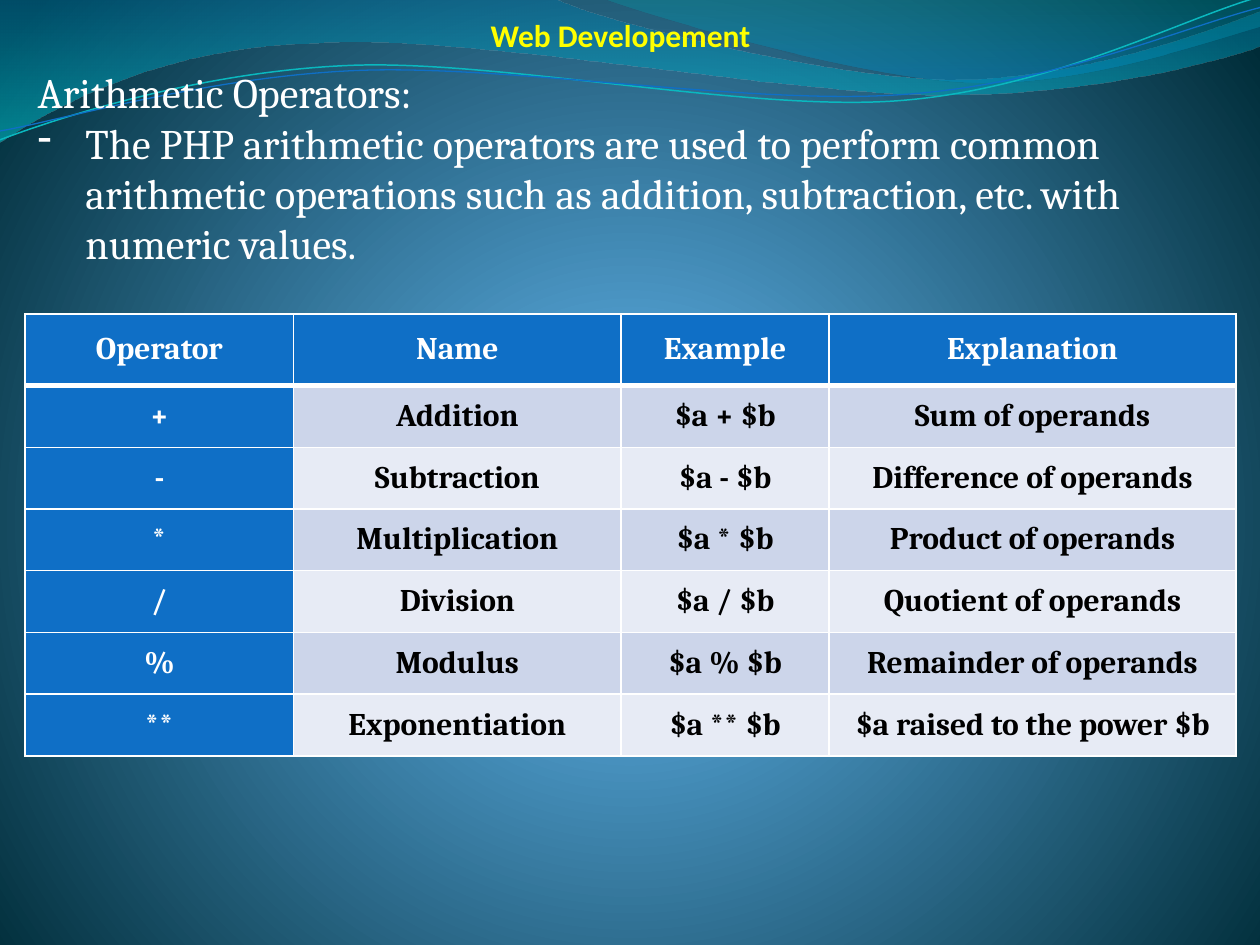
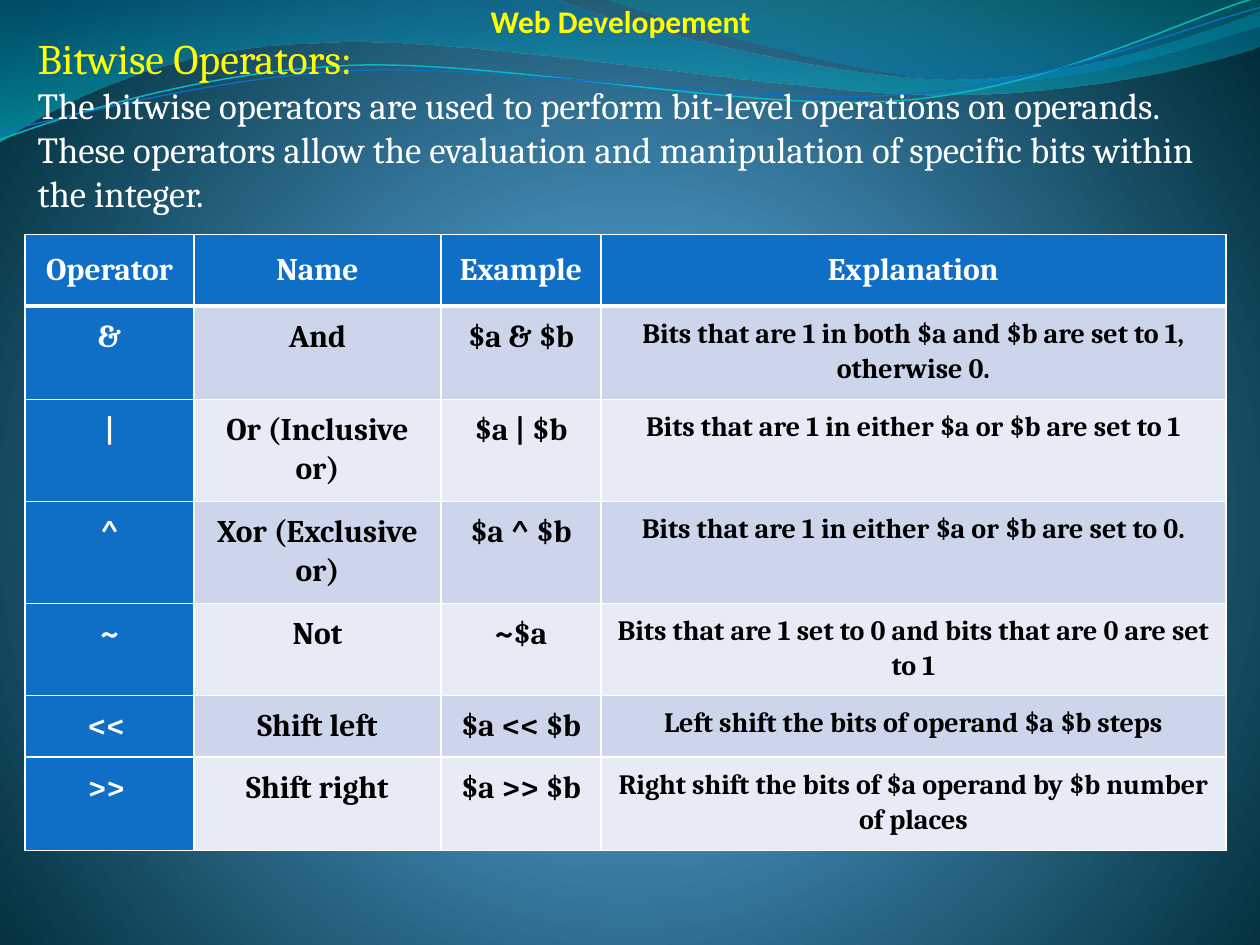
from dataclasses import dataclass
from itertools import chain
from lxml import etree
from pptx import Presentation
from pptx.dml.color import RGBColor
from pptx.enum.text import PP_ALIGN
from pptx.oxml.ns import qn
from pptx.util import Inches, Pt

CENTER, LEFT = PP_ALIGN.CENTER, PP_ALIGN.LEFT
COLS, ROWS = 10, 7.5
WIDTH, HEIGHT = Inches(10), Inches(7.5)


@dataclass(frozen=True)
class Theme:
    """Colours, fonts and type sizes of the deck."""
    white: str = "FFFFFF"
    black: str = "000000"
    gold: str = "FFFF00"
    blue: str = "0F6FC6"
    teal: str = "0AB8BF"
    bands: tuple = ("CCD5EA", "E7EBF5")
    sky: tuple = ((0, "4AA0D6", 100), (25, "4C98C7", 100), (100, "002C38", 100))
    wave: tuple = ((0, "0074A1", 45), (100, "00C6CF", 55))
    crest: tuple = ((0, "00A1A9", 30), (80, "008BBF", 45))
    sans: str = "Calibri"
    serif: str = "Cambria"
    head: int = 24
    body: int = 21
    cell: int = 18
    note: int = 16


T = Theme()

WAVE = (((0, 0),), ((4.4, -0.01),),
        ((4.76, 0.17), (6.64, 0.63), (7.58, 0.63)),
        ((8.53, 0.63), (9.58, 0.26), (10, 0.09)), ((10.01, 0.36),),
        ((9.83, 0.44), (8.7, 0.76), (7.46, 0.75)),
        ((6.22, 0.75), (3.82, 0.28), (2.57, 0.34)),
        ((1.29, 0.36), (0.46, 0.83), (-0.01, 1.13)), ((0, 0),))
CREST = (((4.79, -0.01),), ((5.09, 0.11), (6.82, 0.62), (7.69, 0.65)),
         ((8.56, 0.69), (9.61, 0.32), (10, 0.21)), ((10, 0),),
         ((4.79, -0.01),))
UPPER = (((0, 1.11),), ((0.48, 0.93), (1.58, 0.57), (2.77, 0.52)),
         ((3.95, 0.47), (5.93, 0.89), (7.13, 0.8)),
         ((8.33, 0.71), (9.38, 0.15), (9.98, -0.02)))
LOWER = (((0, 1.04),), ((0.47, 0.96), (1.64, 0.61), (2.83, 0.56)),
         ((4.03, 0.51), (5.97, 0.84), (7.17, 0.75)),
         ((8.36, 0.67), (9.41, 0.21), (10, 0.06)))

HEADS = ("Operator", "Name", "Example", "Explanation")
MATH = (("+", "Addition", "$a + $b", "Sum of operands"),
        ("-", "Subtraction", "$a - $b", "Difference of operands"),
        ("*", "Multiplication", "$a * $b", "Product of operands"),
        ("/", "Division", "$a / $b", "Quotient of operands"),
        ("%", "Modulus", "$a % $b", "Remainder of operands"),
        ("**", "Exponentiation", "$a ** $b", "$a raised to the power $b"))
BITS = (("&", "And", "$a & $b",
         "Bits that are 1 in both $a and $b are set to 1, otherwise 0."),
        ("|", "Or (Inclusive or)", "$a | $b",
         "Bits that are 1 in either $a or $b are set to 1"),
        ("^", "Xor (Exclusive or)", "$a ^ $b",
         "Bits that are 1 in either $a or $b are set to 0."),
        ("~", "Not", "~$a",
         "Bits that are 1 set to 0 and bits that are 0 are set to 1"),
        ("<< ", "Shift left", "$a << $b",
         "Left shift the bits of operand $a $b steps"),
        (">> ", "Shift right", "$a >> $b",
         "Right shift the bits of $a operand by $b number of places"))


def col(n):
    """Return the length of n grid columns."""
    return round(WIDTH * n / COLS)


def row(n):
    """Return the length of n grid rows."""
    return round(HEIGHT * n / ROWS)


def place(box):
    """Turn a grid box into slide lengths."""
    x, y, w, h = box
    return col(x), row(y), col(w), row(h)


def rgb(code):
    """Return a colour from its hex code."""
    return RGBColor.from_string(code)


def node(base, tag, **attrs):
    """Append an element with the given attributes."""
    return etree.SubElement(base, qn(tag), {k: str(v) for k, v in attrs.items()})


def blend(fill, root, stops):
    """Give a fill gradient stops and return its element."""
    fill.gradient()
    grad = root.find(".//" + qn("a:gradFill"))
    for part in list(grad):
        grad.remove(part)
    items = node(grad, "a:gsLst")
    for pos, code, alpha in stops:
        stop = node(items, "a:gs", pos=pos * 1000)
        tint = node(stop, "a:srgbClr", val=code)
        if alpha < 100:
            node(tint, "a:alpha", val=alpha * 1000)
    return grad


def paint_sky(master):
    """Set the shared radial background."""
    grad = blend(master.background.fill, master.element, T.sky)
    ring = node(grad, "a:path", path="circle")
    node(ring, "a:fillToRect", l=10000, t=110000, r=10000, b=100000)


def outline(slide, route, close):
    """Draw a route of lines and cubic curves as a freeform."""
    points = [(col(x), row(y)) for x, y in chain(*route)]
    pen = slide.shapes.build_freeform(*points[0])
    pen.add_line_segments(points[1:], close=close)
    shape = pen.convert_to_shape()
    shape.shadow.inherit = False
    steps = iter(shape.element.findall(".//" + qn("a:lnTo")))
    for part in route[1:]:
        lines = [next(steps) for _ in part]
        if len(part) == 3:
            curve = etree.Element(qn("a:cubicBezTo"))
            lines[0].addprevious(curve)
            for line in lines:
                curve.append(line[0])
                line.getparent().remove(line)
    return shape


def add_waves(slide, master):
    """Draw the top bands and lines and share them through the master."""
    shapes = []
    for route, stops in ((WAVE, T.wave), (CREST, T.crest)):
        band = outline(slide, route, True)
        grad = blend(band.fill, band.element, stops)
        node(grad, "a:lin", ang=5400000, scaled=1)
        band.line.fill.background()
        shapes.append(band)
    for route, code, width in ((UPPER, T.teal, 0.85), (LOWER, T.blue, 0.75)):
        line = outline(slide, route, False)
        line.fill.background()
        line.line.color.rgb = rgb(code)
        line.line.width = Pt(width)
        shapes.append(line)
    tree = master.element.find(".//" + qn("p:spTree"))
    for i, shape in enumerate(shapes):
        shape.element.find(".//" + qn("p:cNvPr")).set("id", str(100 + i))
        tree.append(shape.element)


def style(para, size, code, face=T.serif, bold=False, align=LEFT):
    """Set the look of a paragraph."""
    para.alignment = align
    font = para.font
    font.name, font.size, font.bold = face, Pt(size), bold
    font.color.rgb = rgb(code)


def add_box(slide, box):
    """Add a wrapping text frame."""
    frame = slide.shapes.add_textbox(*place(box)).text_frame
    frame.word_wrap = True
    return frame


def add_title(slide, top):
    """Write the course title."""
    para = add_box(slide, (1.8, top, 6.25, 0.4)).paragraphs[0]
    para.text = "Web Developement"
    style(para, T.cell, T.gold, T.sans, True, CENTER)


def add_intro(slide, box, head, code, body, size, dash):
    """Write the topic and its description."""
    frame = add_box(slide, box)
    first, para = frame.paragraphs[0], frame.add_paragraph()
    first.text, para.text = head, body
    style(first, T.head, code)
    if dash:
        props = para._p.get_or_add_pPr()
        props.set("marL", str(col(0.38)))
        props.set("indent", str(-col(0.38)))
        node(props, "a:buFontTx")
        node(props, "a:buChar", char="-")
    style(para, size, T.white)


def add_edges(cell, thick):
    """Line a cell in white, with a wider side where named."""
    props = cell._tc.get_or_add_tcPr()
    for i, side in enumerate("LRTB"):
        line = etree.Element(qn("a:ln" + side),
                             w=str(Pt(3 if side == thick else 1)))
        node(node(line, "a:solidFill"), "a:srgbClr", val=T.white)
        props.insert(i, line)


def add_grid(slide, box, widths, heights, data, note):
    """Build the operator table."""
    lines = (HEADS, *data)
    table = slide.shapes.add_table(len(lines), len(HEADS), *place(box)).table
    table.horz_banding = False
    for part, width in zip(table.columns, widths):
        part.width = col(width)
    for part, height in zip(table.rows, heights):
        part.height = row(height)
    for r, line in enumerate(lines):
        for c, text in enumerate(line):
            cell = table.cell(r, c)
            dark = r == 0 or c == 0
            pad = col(0.08 if r else 0.12)
            cell.margin_left = cell.margin_right = pad
            cell.margin_top = cell.margin_bottom = pad
            cell.fill.solid()
            cell.fill.fore_color.rgb = rgb(T.blue if dark else T.bands[(r - 1) % 2])
            add_edges(cell, {0: "B", 1: "T"}.get(r))
            para = cell.text_frame.paragraphs[0]
            para.text = text
            para.line_spacing = 1.07
            style(para, note if r and c == 3 else T.cell,
                  T.white if dark else T.black, bold=True, align=CENTER)


def add_page(slide, top, intro, grid):
    """Fill one operator slide."""
    add_title(slide, top)
    add_intro(slide, *intro)
    add_grid(slide, *grid)


def main():
    """Build and save the deck."""
    deck = Presentation()
    deck.slide_width, deck.slide_height = WIDTH, HEIGHT
    blank = deck.slide_layouts[6]
    math, bits = (deck.slides.add_slide(blank) for _ in range(2))
    paint_sky(deck.slide_master)
    add_waves(math, deck.slide_master)
    add_page(math, 0.08,
             ((0.2, 0.48, 9.61, 2.12), "Arithmetic Operators:", T.white,
              "The PHP arithmetic operators are used to perform common "
              "arithmetic operations such as addition, subtraction, etc. "
              "with numeric values.", T.head, True),
             ((0.2, 2.49, 9.61, 3.5), (2.13, 2.6, 1.65, 3.23),
              (0.57, *[0.49] * 6), MATH, T.cell))
    add_page(bits, -0.03,
             ((0.2, 0.21, 9.61, 1.92), "Bitwise Operators:", T.gold,
              "The bitwise operators are used to perform bit-level operations "
              "on operands. These operators allow the evaluation and "
              "manipulation of specific bits within the integer.",
              T.body, False),
             ((0.2, 1.86, 9.53, 4.89), (1.34, 1.96, 1.27, 4.96),
              (0.57, 0.74, 0.81, 0.81, 0.73, 0.49, 0.74), BITS, T.note))
    deck.save("out.pptx")


if __name__ == "__main__":
    main()
